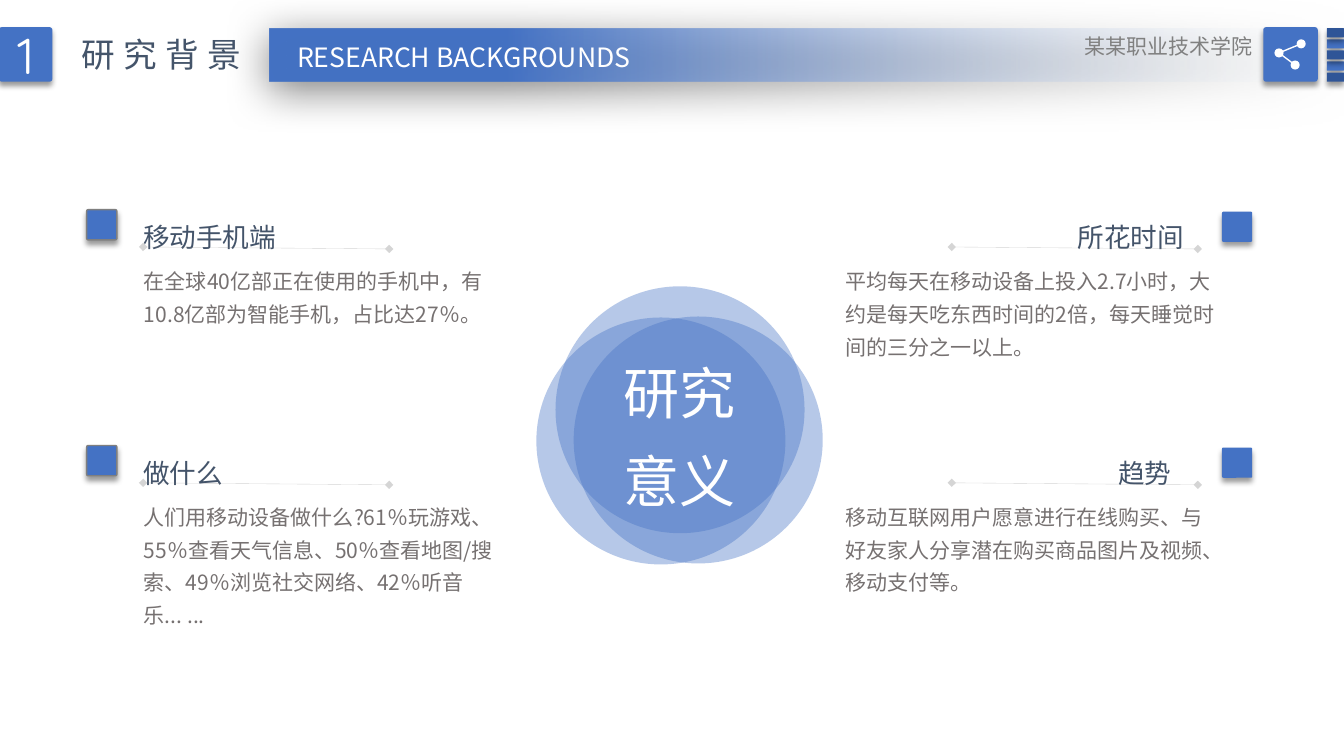
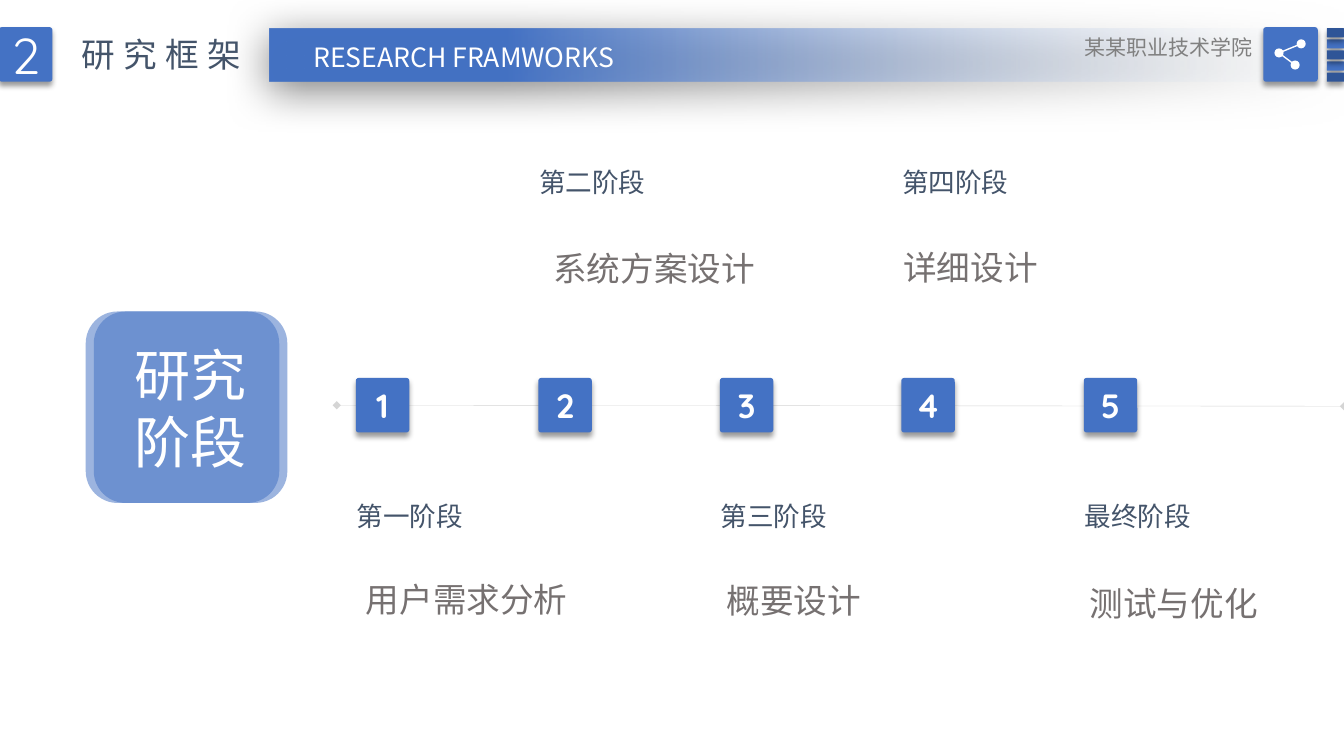
from lxml.etree import SubElement
from pptx import Presentation
from pptx.dml.color import RGBColor
from pptx.enum.shapes import MSO_CONNECTOR, MSO_SHAPE
from pptx.enum.text import MSO_ANCHOR, PP_ALIGN
from pptx.oxml.ns import qn
from pptx.util import Emu, Pt

PX = 9144  # one px is a hundredth of an inch
FONT, DIGIT_FONT = "Noto Sans CJK SC", "Quicksand"
C = {"blue": "4472C4", "navy": "2F5597", "pale": "F7FAFD", "slate": "44546A",
     "body": "767171", "gray": "808080", "edge": "7F7F7F", "white": "FFFFFF",
     "black": "000000"}

STYLES = {
    "title": dict(size=24, color="slate", spacing=6),
    "subtitle": dict(size=19, color="white", align=PP_ALIGN.CENTER),
    "school": dict(size=15, color="gray", align=PP_ALIGN.RIGHT),
    "section": dict(size=36, color="white", font=DIGIT_FONT, align=PP_ALIGN.CENTER),
    "number": dict(size=24, color="white", font=DIGIT_FONT, align=PP_ALIGN.CENTER, bold=True),
    "heading": dict(size=19, color="slate", leading=1.3),
    "body": dict(size=15, color="body", leading=1.3),
    "detail": dict(size=24, color="body", leading=1.3),
    "core": dict(size=40, color="white", align=PP_ALIGN.CENTER, leading=1.3),
    "tile": dict(size=40, color="white", align=PP_ALIGN.CENTER),
}
SOFT = dict(alpha=40, blur=4, dist=3, angle=90)
WIDE = dict(alpha=50, blur=31, dist=6, angle=97)

SCHOOL = "某某职业技术学院"
BAR_COLORS = ["navy", "blue", "navy", "blue", "navy"]
BAR_ORDER = [1, 3, 0, 2, 4]
SHARE_DOTS = [(1264, 48), (1286, 39), (1280, 60)]
SHARE_DOT = 9

# marker x and y offset, line x, body x, marker outline
SIDES = {
    "left": dict(marker=(86, 0), line=142, body=133, edge="edge"),
    "right": dict(marker=(1212, 2), line=944, body=829, edge=None),
}
ROW_TOPS = [205, 439]
# side, row, heading x, heading, body
POINTS = [
    ("left", 0, 132, "移动手机端", "在全球40亿部正在使用的手机中，有10.8亿部为智能手机，占比达27％。"),
    ("left", 1, 132, "做什么",
     "人们用移动设备做什么?61％玩游戏、55％查看天气信息、50％查看地图/搜索、49％浏览社交网络、42％听音乐... ..."),
    ("right", 0, 1059, "所花时间",
     "平均每天在移动设备上投入2.7小时，大约是每天吃东西时间的2倍，每天睡觉时间的三分之一以上。"),
    ("right", 1, 1099, "趋势",
     "移动互联网用户愿意进行在线购买、与好友家人分享潜在购买商品图片及视频、移动支付等。"),
]
CIRCLES = [(532, 315), (551, 284), (569, 314)]

# heading, detail, detail x and y
STAGES = [
    ("第一阶段", "用户需求分析", 353, 557),
    ("第二阶段", "系统方案设计", 539, 229),
    ("第三阶段", "概要设计", 711, 558),
    ("第四阶段", "详细设计", 886, 228),
    ("最终阶段", "测试与优化", 1071, 561),
]
STAGE_LEFT, STAGE_STEP = 353, 180.5
HEADING_TOPS = [482, 150]


def px(*values):
    return [Emu(round(v * PX)) for v in values]


def rgb(name):
    return RGBColor.from_string(C[name])


def set_alpha(sp, percent):
    """Make the first colour of the shape's properties see-through."""
    color = sp._element.spPr.find(".//" + qn("a:srgbClr"))
    SubElement(color, qn("a:alpha")).set("val", str(percent * 1000))


def add_shadow(sp, alpha, blur, dist, angle):
    effects = sp._element.spPr.find(qn("a:effectLst"))
    outer = SubElement(effects, qn("a:outerShdw"), blurRad=str(Pt(blur)),
                       dist=str(Pt(dist)), dir=str(angle * 60000), rotWithShape="0")
    color = SubElement(outer, qn("a:srgbClr"), val=C["black"])
    SubElement(color, qn("a:alpha"), val=str(alpha * 1000))


def add_shape(slide, kind, box, fill="blue", edge=None, alpha=None, shadow=None, adj=None):
    sp = slide.shapes.add_shape(kind, *px(*box))
    sp.shadow.inherit = False
    sp.fill.solid()
    sp.fill.fore_color.rgb = rgb(fill)
    if edge:
        sp.line.color.rgb = rgb(edge)
        sp.line.width = Pt(1)
    else:
        sp.line.fill.background()
    if adj is not None:
        sp.adjustments[0] = adj
    if alpha:
        set_alpha(sp, alpha)
    if shadow:
        add_shadow(sp, **shadow)
    return sp


def add_chip(slide, box, **kw):
    """Slightly rounded rectangle with the soft shadow."""
    return add_shape(slide, MSO_SHAPE.ROUNDED_RECTANGLE, box, shadow=SOFT, adj=0.05, **kw)


def write(sp, lines, style):
    fmt = STYLES[style]
    tf = sp.text_frame
    tf.word_wrap = True
    for i, line in enumerate(lines):
        p = tf.paragraphs[0] if i == 0 else tf.add_paragraph()
        p.alignment = fmt.get("align", PP_ALIGN.LEFT)
        p.line_spacing = fmt.get("leading", 1.0)
        r = p.add_run()
        r.text = line
        font_name = fmt.get("font", FONT)
        for name, value in dict(size=Pt(fmt["size"]), name=font_name,
                                bold=fmt.get("bold", False)).items():
            setattr(r.font, name, value)
        r.font.color.rgb = rgb(fmt["color"])
        rPr = r._r.get_or_add_rPr()
        SubElement(rPr, qn("a:ea"), typeface=font_name)
        if "spacing" in fmt:
            rPr.set("spc", str(fmt["spacing"] * 100))


def add_text(slide, box, style, *lines):
    write(slide.shapes.add_textbox(*px(*box)), lines, style)


def add_line(slide, start, end, color, width):
    ln = slide.shapes.add_connector(MSO_CONNECTOR.STRAIGHT, *px(*start, *end))
    ln.line.color.rgb = rgb(color)
    ln.line.width = Pt(width)
    SubElement(ln._element.spPr, qn("a:effectLst"))
    return ln


def add_diamond_line(slide, start, end):
    ln = add_line(slide, start, end, "gray", 0.25)
    set_alpha(ln, 33)
    for tag in ("a:headEnd", "a:tailEnd"):
        SubElement(ln.line._get_or_add_ln(), qn(tag), type="diamond")


def add_header(slide, number, title, subtitle, school_top):
    band = add_shape(slide, MSO_SHAPE.RECTANGLE, (267, 28, 1067, 53), shadow=WIDE)
    band.fill.gradient()
    band.fill.gradient_angle = 180
    for stop, (position, color) in zip(band.fill.gradient_stops, [(0, "pale"), (0.78, "blue")]):
        stop.position = position
        stop.color.rgb = rgb(color)
    set_alpha(band, 0)

    write(add_chip(slide, (-1, 27, 53, 54)), [number], "section")
    add_text(slide, (71, 29, 195, 50), "title", title)
    add_text(slide, (275, 36, 370, 42), "subtitle", subtitle)

    for i in BAR_ORDER:
        add_chip(slide, (1316, 28 + 11 * i, 17, 9), fill=BAR_COLORS[i])
    add_chip(slide, (1253, 27, 54, 54))
    centers = [(x + SHARE_DOT / 2, y + SHARE_DOT / 2) for x, y in SHARE_DOTS]
    for end in centers[1:]:
        add_line(slide, centers[0], end, "white", 1)
    for dot in SHARE_DOTS:
        add_shape(slide, MSO_SHAPE.OVAL, (*dot, SHARE_DOT, SHARE_DOT), "white")
    add_text(slide, (1015, school_top, 237, 35), "school", SCHOOL)


def build_background(slide):
    for x, y in CIRCLES:
        add_shape(slide, MSO_SHAPE.OVAL, (x, y, 247, 245), alpha=39)
    add_text(slide, (590, 331, 167, 185), "core", "研究", "意义")
    for side, row, heading_x, heading, body in POINTS:
        place, top = SIDES[side], ROW_TOPS[row]
        marker_x, dy = place["marker"]
        line_x = place["line"]
        add_chip(slide, (marker_x, top + 3 + dy, 30, 30), edge=place["edge"])
        add_text(slide, (heading_x, top, 161, 48), "heading", heading)
        add_diamond_line(slide, (line_x, top + 40), (line_x + 244, top + 42))
        add_text(slide, (place["body"], top + 49, 386, 109), "body", body)
    add_header(slide, "1", "研究背景", "RESEARCH BACKGROUNDS", 28)


def build_framework(slide):
    for x in (85, 93):
        tile = add_shape(slide, MSO_SHAPE.ROUNDED_RECTANGLE, (x, 309, 192, 190), alpha=53)
    tile.text_frame.vertical_anchor = MSO_ANCHOR.MIDDLE
    write(tile, ["研究", "阶段"], "tile")
    add_diamond_line(slide, (334, 402), (1333, 403))
    for i, (heading, detail, detail_x, detail_y) in enumerate(STAGES):
        x = round(STAGE_LEFT + STAGE_STEP * i)
        write(add_chip(slide, (x, 375, 53, 54)), [str(i + 1)], "number")
        add_text(slide, (x - 9, HEADING_TOPS[i % 2], 135, 52), "heading", heading)
        add_text(slide, (detail_x, detail_y, 242, 63), "detail", detail)
    add_header(slide, "2", "研究框架", "RESEARCH FRAMWORKS", 29)


def main():
    prs = Presentation()
    prs.slide_width, prs.slide_height = px(1333, 750)
    for build in (build_background, build_framework):
        build(prs.slides.add_slide(prs.slide_layouts[6]))
    prs.save("out.pptx")


if __name__ == "__main__":
    main()
